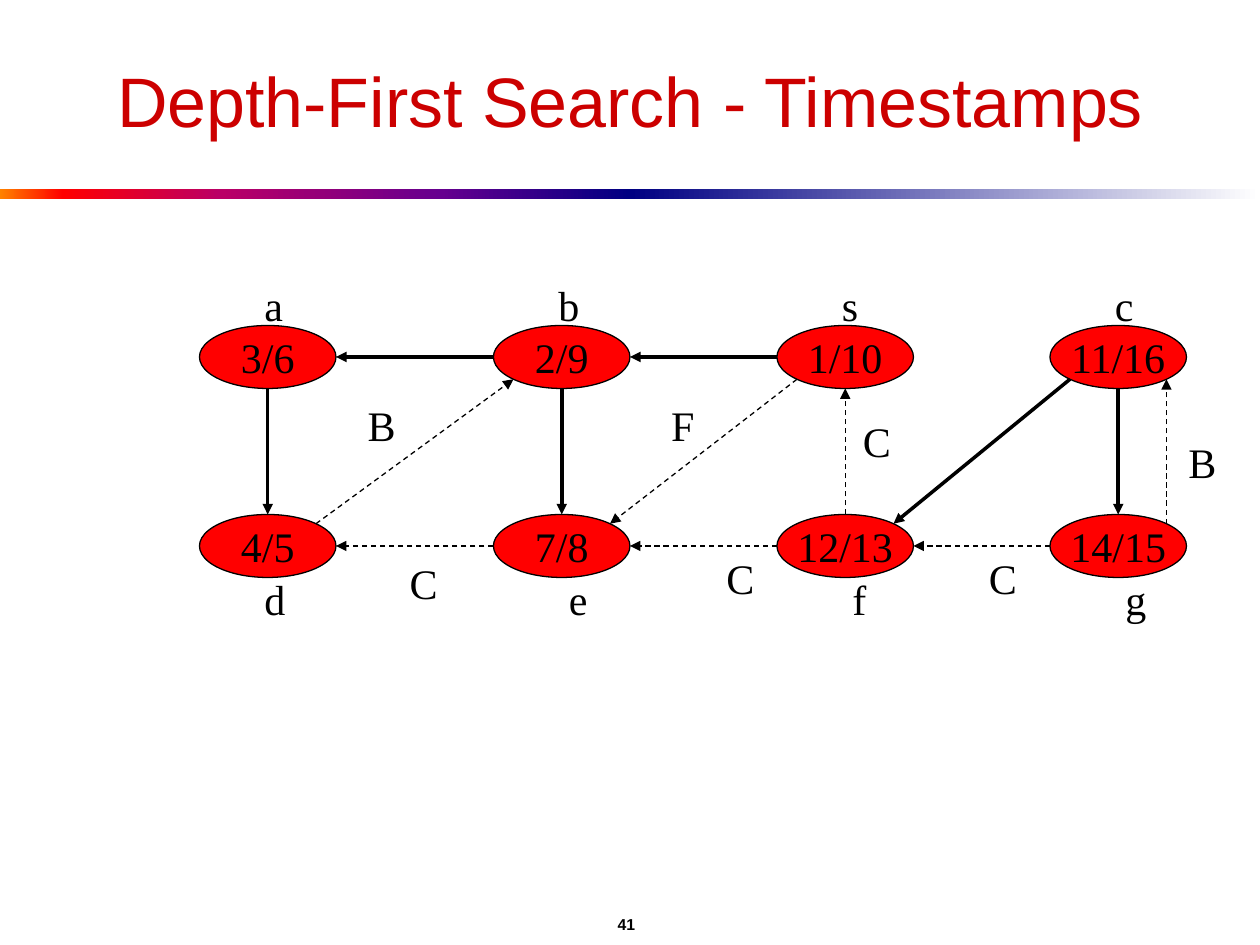
from math import sqrt
from lxml.etree import SubElement
from pptx import Presentation
from pptx.dml.color import RGBColor
from pptx.enum.dml import MSO_LINE
from pptx.enum.shapes import MSO_CONNECTOR, MSO_SHAPE
from pptx.enum.text import MSO_ANCHOR, PP_ALIGN
from pptx.oxml.ns import qn
from pptx.util import Pt

BLACK = RGBColor(0x00, 0x00, 0x00)
RED = RGBColor(0xFF, 0x00, 0x00)
TITLE_RED = RGBColor(0xCC, 0x00, 0x00)
ORANGE = RGBColor(0xFF, 0x82, 0x00)
MAGENTA = RGBColor(0xBA, 0x00, 0x66)
PURPLE = RGBColor(0x66, 0x00, 0x8F)
NAVY = RGBColor(0x00, 0x00, 0x82)
WHITE = RGBColor(0xFF, 0xFF, 0xFF)

presentation = Presentation()
presentation.slide_width, presentation.slide_height = Pt(720), Pt(540)
slide = presentation.slides.add_slide(presentation.slide_layouts[6])
shapes = slide.shapes


def write(shape, text, size, font, color=BLACK, align=PP_ALIGN.CENTER, bold=False, wrap=False):
    frame = shape.text_frame
    frame.text = text
    frame.word_wrap = wrap
    paragraph = frame.paragraphs[0]
    paragraph.alignment = align
    run_font = paragraph.runs[0].font
    run_font.size, run_font.name, run_font.bold = Pt(size), font, bold
    run_font.color.rgb = color
    return frame


rule_halves = [
    (0, [(0, ORANGE), (10, RED), (35, MAGENTA), (70, PURPLE), (100, NAVY)]),
    (360, [(0, NAVY), (100, WHITE)]),
]
for left, stops in rule_halves:
    rule = shapes.add_shape(MSO_SHAPE.RECTANGLE, Pt(left), Pt(108), Pt(360), Pt(6))
    rule.shadow.inherit = False
    rule.line.fill.background()
    rule.fill.gradient()
    rule.fill.gradient_angle = 0
    stop_list = rule._element.spPr.find(qn("a:gradFill")).find(qn("a:gsLst"))
    for default_stop in list(stop_list):
        stop_list.remove(default_stop)
    for position, color in stops:
        stop = SubElement(stop_list, qn("a:gs"), pos=str(position * 1000))
        SubElement(stop, qn("a:srgbClr"), val=str(color))

page_number = shapes.add_textbox(Pt(34), Pt(516), Pt(648), Pt(24))
write(page_number, "41", 9, "Arial", bold=True).vertical_anchor = MSO_ANCHOR.MIDDLE

title = shapes.add_textbox(Pt(36), Pt(18), Pt(648), Pt(78))
title_frame = write(title, "Depth-First Search - Timestamps", 40, "Arial", TITLE_RED, wrap=True)
title_frame.vertical_anchor = MSO_ANCHOR.MIDDLE

NODE_WIDTH, NODE_HEIGHT = 78, 36
columns = [114, 282, 444, 600]
rows = [
    (186, ["a", "b", "s", "c"], ["3/6", "2/9", "1/10", "11/16"]),
    (294, ["d", "e", "f", "g"], ["4/5", "7/8", "12/13", "14/15"]),
]
centers = {}
for top, vertices, timestamps in rows:
    for left, vertex, timestamp in zip(columns, vertices, timestamps):
        node = shapes.add_shape(MSO_SHAPE.FLOWCHART_CONNECTOR, Pt(left), Pt(top), Pt(NODE_WIDTH), Pt(NODE_HEIGHT))
        node.shadow.inherit = False
        node.fill.solid()
        node.fill.fore_color.rgb = RED
        node.line.color.rgb = BLACK
        node.line.width = Pt(0.75)
        node_frame = write(node, timestamp, 24, "Times New Roman")
        node_frame.vertical_anchor = MSO_ANCHOR.MIDDLE
        centers[vertex] = (left + NODE_WIDTH / 2, top + NODE_HEIGHT / 2)

diagonal = 1 / sqrt(2)
sides = {
    "N": (0, -1), "S": (0, 1), "W": (-1, 0), "E": (1, 0),
    "NE": (diagonal, -diagonal), "NW": (-diagonal, -diagonal),
    "SE": (diagonal, diagonal), "SW": (-diagonal, diagonal),
}
tree_edges = ["b W a E", "a S d N", "b S e N", "s W b E", "c SW f NE", "c S g N"]
other_edges = ["e W d E", "d NE b SW", "s SW e NE", "f W e E", "f N s S", "g W f E", "g NE c SE"]
for edge in tree_edges + other_edges:
    source, source_side, target, target_side = edge.split()
    ends = []
    for vertex, side in [(source, source_side), (target, target_side)]:
        x, y = centers[vertex]
        dx, dy = sides[side]
        ends += [Pt(x + dx * NODE_WIDTH / 2), Pt(y + dy * NODE_HEIGHT / 2)]
    arrow = shapes.add_connector(MSO_CONNECTOR.STRAIGHT, *ends)
    arrow.line.color.rgb = BLACK
    if edge in tree_edges:
        arrow.line.width = Pt(2)
    else:
        arrow.line.width = Pt(0.75)
        arrow.line.dash_style = MSO_LINE.DASH
    properties = arrow._element.spPr
    SubElement(properties.find(qn("a:ln")), qn("a:tailEnd"), type="triangle")
    SubElement(properties, qn("a:effectLst"))

labels = [
    ("a", 144, 156, 25), ("b", 312, 156, 27), ("s", 474, 156, 24), ("c", 630, 156, 25),
    ("d", 144, 324, 27), ("e", 318, 324, 25), ("f", 480, 324, 22), ("g", 636, 324, 27),
    ("B", 203, 225, 30), ("F", 376.5, 225, 28), ("C", 486, 234, 30), ("B", 672, 246, 30),
    ("C", 227, 315, 30), ("C", 408, 312, 30), ("C", 558, 312, 30),
]
for text, left, top, width in labels:
    label = shapes.add_textbox(Pt(left), Pt(top), Pt(width), Pt(36))
    write(label, text, 24, "Times New Roman", align=PP_ALIGN.LEFT)

presentation.save("out.pptx")
